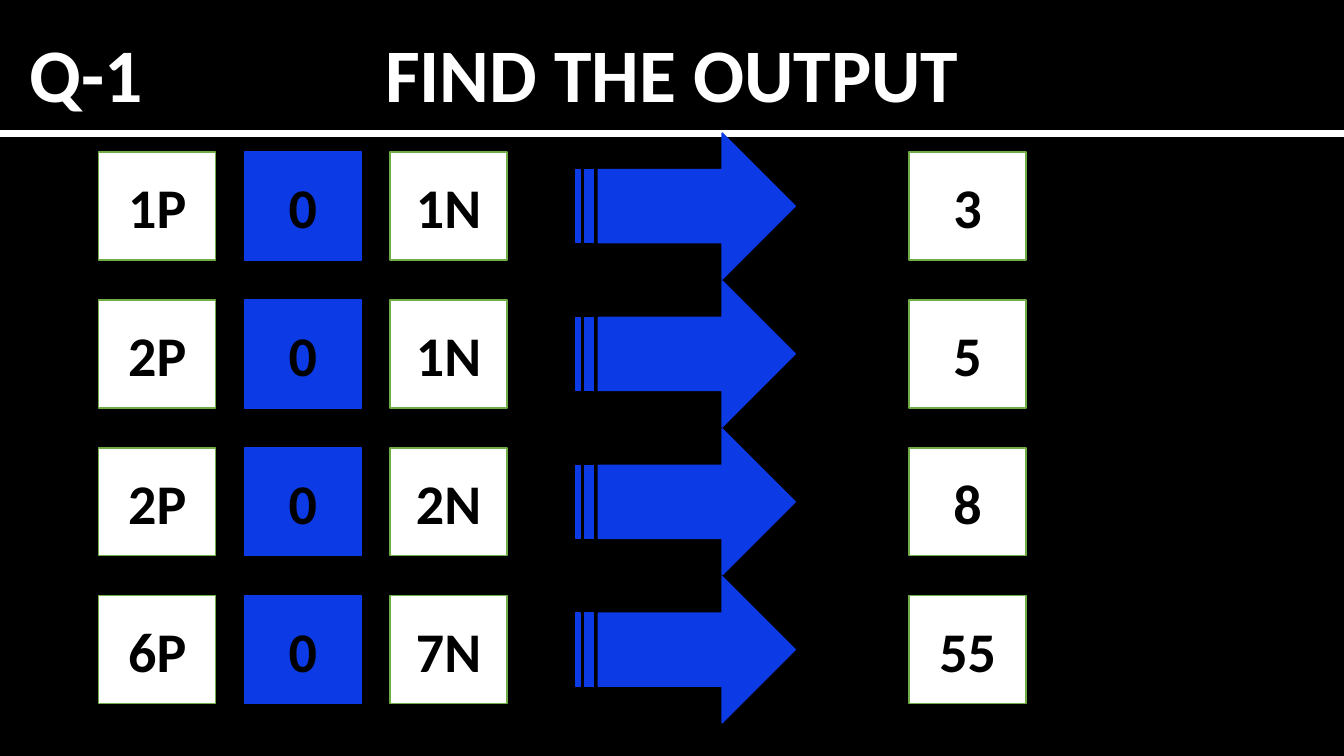
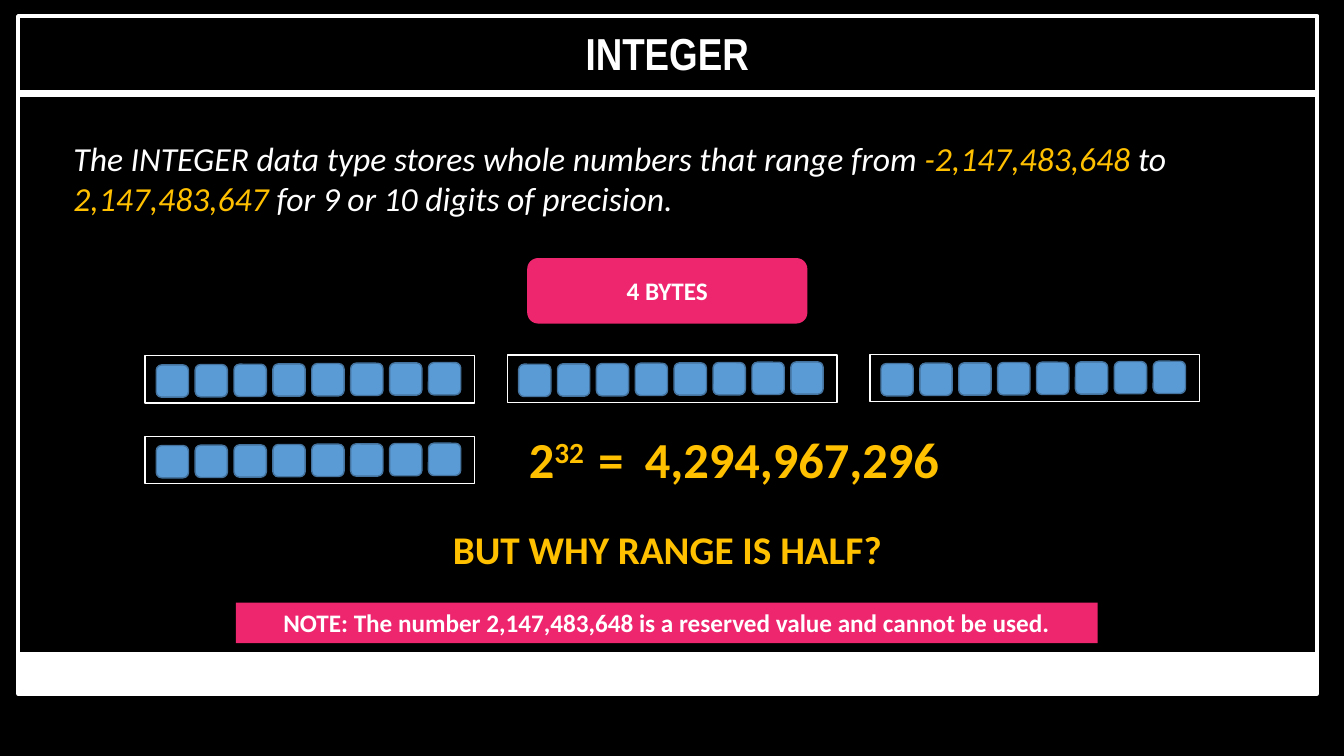
from pptx import Presentation
from pptx.dml.color import RGBColor
from pptx.enum.shapes import MSO_CONNECTOR, MSO_SHAPE
from pptx.enum.text import MSO_ANCHOR, MSO_AUTO_SIZE, PP_ALIGN
from pptx.oxml.ns import qn
from pptx.util import Inches, Pt
from lxml.etree import SubElement

COLORS = {
    "black": "000000",
    "white": "FFFFFF",
    "blue": "0C3AE5",
    "green": "70AD47",
    "pink": "EE266E",
    "gold": "FFC000",
    "bit": "5B9BD5",
    "bit edge": "43739E",
}
COLUMNS, ROWS = 160, 90
BITS_PER_BYTE = 8


def color(name):
    return RGBColor.from_string(COLORS[name])


class Sketch:
    """Holds the style, the current slide and the layer being drawn on."""

    def __init__(self):
        self.deck = Presentation()
        self.deck.slide_width = Inches(13.33)
        self.deck.slide_height = Inches(7.5)
        background = self.deck.slide_master.background.fill
        background.solid()
        background.fore_color.rgb = color("black")

    def start_page(self):
        self.page = self.deck.slides.add_slide(self.deck.slide_layouts[6])
        self.layer = self.page.shapes

    def start_group(self):
        self.layer = self.page.shapes.add_group_shape().shapes

    def end_group(self):
        self.layer = self.page.shapes

    def across(self, columns):
        return round(self.deck.slide_width * columns / COLUMNS)

    def down(self, rows):
        return round(self.deck.slide_height * rows / ROWS)

    def place(self, left, top, width, height):
        return self.across(left), self.down(top), self.across(width), self.down(height)

    def fill_text(self, box, text, size, ink, font="Calibri", bold=True, italic=False,
                  align=PP_ALIGN.CENTER):
        """Text is a string, or a list of (words, color, baseline) spans."""
        box.text_frame.word_wrap = True
        para = box.text_frame.paragraphs[0]
        para.alignment = align
        para.font.name = font
        para.font.size = Pt(size)
        para.font.bold = bold
        para.font.italic = italic
        para.font.color.rgb = color(ink)
        spans = [(text, ink, 0)] if isinstance(text, str) else text
        for words, span_ink, baseline in spans:
            span = para.add_run()
            span.text = words
            if span_ink != ink:
                span.font.color.rgb = color(span_ink)
            if baseline:
                span._r.get_or_add_rPr().set("baseline", str(baseline * 1000))

    def text(self, area, text, size, ink="white", **style):
        box = self.layer.add_textbox(*self.place(*area))
        self.fill_text(box, text, size, ink, **style)
        box.text_frame.auto_size = MSO_AUTO_SIZE.SHAPE_TO_FIT_TEXT

    def shape(self, area, fill=None, edge=None, weight=1, kind=MSO_SHAPE.RECTANGLE):
        shape = self.layer.add_shape(kind, *self.place(*area))
        shape.shadow.inherit = False
        if fill:
            shape.fill.solid()
            shape.fill.fore_color.rgb = color(fill)
        else:
            shape.fill.background()
        if edge:
            shape.line.color.rgb = color(edge)
            shape.line.width = Pt(weight)
        else:
            shape.line.fill.background()
        return shape

    def label(self, area, text, size, ink, fill, **look):
        shape = self.shape(area, fill, **look)
        shape.text_frame.vertical_anchor = MSO_ANCHOR.MIDDLE
        self.fill_text(shape, text, size, ink)

    def rule(self, left, right, row):
        line = self.layer.add_connector(
            MSO_CONNECTOR.STRAIGHT, self.across(left), self.down(row),
            self.across(right), self.down(row))
        line.line.color.rgb = color("white")
        line.line.width = Pt(5)
        SubElement(line._element.spPr, qn("a:effectLst"))

    def tile(self, left, top, text, fill="white", edge="green"):
        self.label((left, top, 13.92, 12.84), text, 40, "black", fill, edge=edge)

    def byte(self, left, top):
        self.start_group()
        for bit in range(BITS_PER_BYTE):
            self.shape((left + 1.32 + 4.63 * bit, top + 1.08 - 0.04 * bit, 3.84, 3.84),
                       "bit", "bit edge", kind=MSO_SHAPE.ROUNDED_RECTANGLE)
        self.shape((left, top, 39.24, 5.64), edge="white")
        self.end_group()


def draw_quiz(sketch):
    sketch.start_page()
    sketch.text((39.84, 2.64, 80.28, 12.12), "FIND THE OUTPUT", 54)
    sketch.rule(0, COLUMNS, 15.84)
    sketch.text((0, 2.64, 20.52, 12.12), "Q-1", 54)

    puzzles = [("1P", "1N", "3"), ("2P", "1N", "5"), ("2P", "2N", "8"), ("6P", "7N", "55")]
    first_column, column_step = 11.76, 17.34
    for row, (positive, negative, answer) in enumerate(puzzles):
        top = 18.12 + 17.6 * row
        sketch.tile(first_column, top, positive)
        sketch.tile(first_column + column_step, top, "0", "blue", "blue")
        sketch.tile(first_column + 2 * column_step, top, negative)
        sketch.shape((68.52, top - 2.28, 26.16, 17.4), "blue", "blue",
                     kind=MSO_SHAPE.STRIPED_RIGHT_ARROW)
        sketch.tile(108.24, top, answer)


def draw_integer(sketch):
    sketch.start_page()
    sketch.shape((2.16, 1.92, 154.68, 80.64), edge="white", weight=3)
    sketch.shape((1.92, 77.64, 154.92, 4.8), "white")
    sketch.rule(1.92, 156.84, 11.16)
    sketch.text((29.28, 2.52, 100.32, 7.68), "INTEGER", 32, font="Arial Narrow")
    sketch.text((7.56, 15.84, 143.4, 10.92), [
        ("The INTEGER data type stores whole numbers that range from ", "white", 0),
        ("-2,147,483,648 ", "gold", 0),
        ("to ", "white", 0),
        ("2,147,483,647", "gold", 0),
        (" for 9 or 10 digits of precision.", "white", 0),
    ], 24, bold=False, italic=True, align=PP_ALIGN.LEFT)
    sketch.label((62.76, 30.72, 33.36, 7.8), "4 BYTES", 18, "white", "pink",
                 kind=MSO_SHAPE.ROUNDED_RECTANGLE)

    first_byte, byte_step = 17.28, 43.14
    for column in range(3):
        sketch.byte(first_byte + byte_step * column, 42.36 - 0.08 * column)
    sketch.byte(first_byte, 51.96)

    sketch.start_group()
    equation = [
        (58.32, 15.84, [("2", "gold", 0), ("32", "gold", 30)]),
        (64.8, 15.84, "="),
        (66.48, 57, "4,294,967,296 "),
    ]
    for left, width, term in equation:
        sketch.text((left, 50.4, width, 8.52), term, 36, "gold")
    sketch.end_group()

    sketch.label((28.08, 71.76, 102.6, 4.8),
                 "NOTE: The number 2,147,483,648 is a reserved value and cannot be used.",
                 18, "white", "pink")
    sketch.text((51.6, 61.92, 55.68, 6.84), "BUT WHY RANGE IS HALF?", 28, "gold")


def main():
    sketch = Sketch()
    draw_quiz(sketch)
    draw_integer(sketch)
    sketch.deck.save("out.pptx")


if __name__ == "__main__":
    main()
